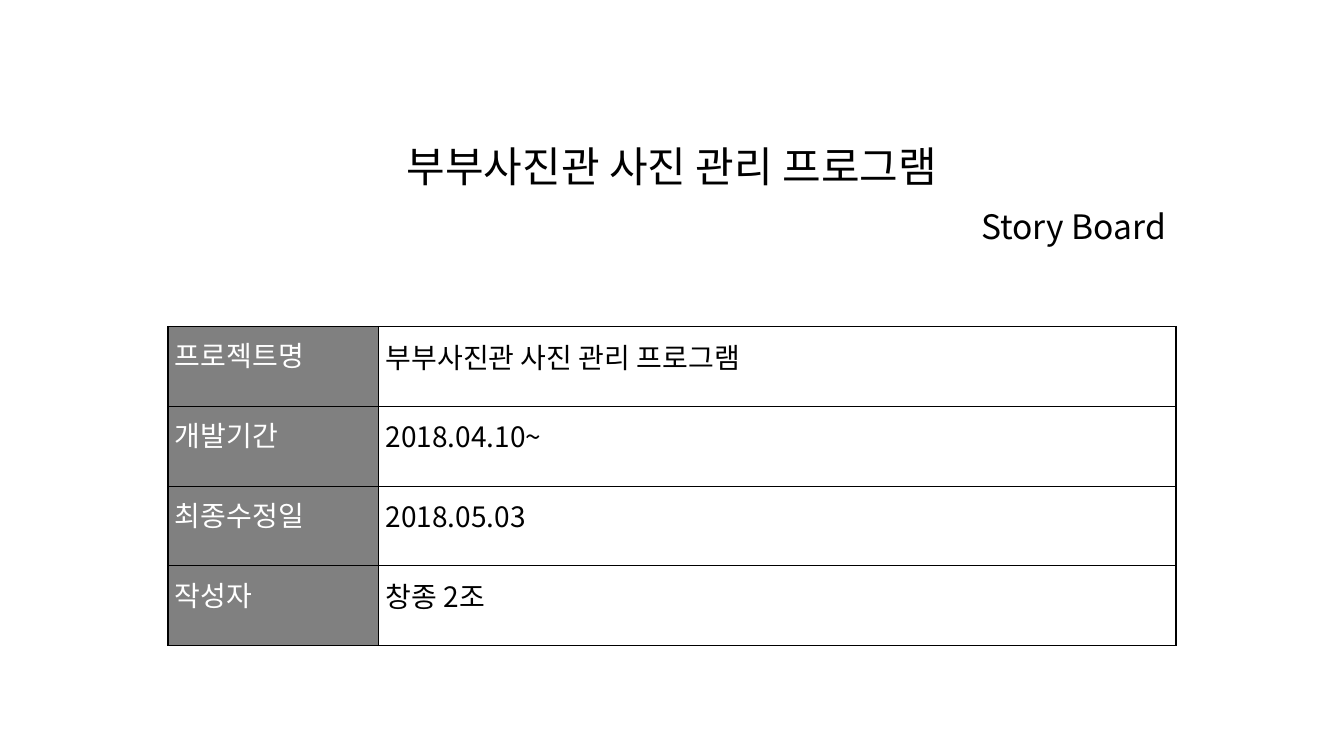
"""Build the story board cover slide with its project information table."""
from dataclasses import dataclass

from lxml.etree import SubElement
from pptx import Presentation
from pptx.dml.color import RGBColor
from pptx.enum.text import MSO_ANCHOR as Anchor, PP_ALIGN as Align
from pptx.oxml.ns import qn
from pptx.table import _Cell as Cell
from pptx.util import Pt

BLACK = RGBColor(0x00, 0x00, 0x00)
WHITE = RGBColor(0xFF, 0xFF, 0xFF)
GRAY = RGBColor(0x80, 0x80, 0x80)
KOREAN_FONT = "Noto Sans CJK KR"
LABEL_FONT = "Arial"
LEFT, WIDTH = 120, 720
LABEL_WIDTH = 150.5
ROW_HEIGHT = 57


@dataclass(frozen=True)
class TextStyle:
    size: float
    font: str = KOREAN_FONT
    color: RGBColor = BLACK
    align: Align = Align.LEFT
    line_spacing: float = 0.9
    before: float = 0
    after: float = 0


@dataclass(frozen=True)
class ProjectFact:
    label: str
    value: str


TITLE = TextStyle(30, align=Align.CENTER)
SUBTITLE = TextStyle(24, align=Align.RIGHT, before=10)
LABEL = TextStyle(20, LABEL_FONT, WHITE, line_spacing=Pt(12), after=6)
VALUE = TextStyle(20, line_spacing=Pt(14), after=6)

FACTS = [
    ProjectFact("프로젝트명", "부부사진관 사진 관리 프로그램"),
    ProjectFact("개발기간", "2018.04.10~"),
    ProjectFact("최종수정일", "2018.05.03"),
    ProjectFact("작성자", "창종 2조"),
]


def write(frame, text: str, style: TextStyle) -> None:
    frame.word_wrap = True
    paragraph = frame.paragraphs[0]
    paragraph.alignment = style.align
    paragraph.line_spacing = style.line_spacing
    paragraph.space_before = Pt(style.before)
    paragraph.space_after = Pt(style.after)
    run = paragraph.add_run()
    run.text = text
    run.font.size = Pt(style.size)
    run.font.name = style.font
    run.font.color.rgb = style.color
    SubElement(run.font._element, qn("a:ea"), typeface=KOREAN_FONT)


def add_borders(cell: Cell) -> None:
    properties = cell._tc.get_or_add_tcPr()
    for side in ("lnL", "lnR", "lnT", "lnB"):
        border = SubElement(properties, qn(f"a:{side}"), w=str(Pt(1)))
        fill = SubElement(border, qn("a:solidFill"))
        SubElement(fill, qn("a:srgbClr"), val=str(BLACK))


def fill_cell(cell: Cell, text: str, style: TextStyle) -> None:
    cell.vertical_anchor = Anchor.MIDDLE
    cell.margin_left = cell.margin_right = Pt(5)
    cell.margin_top = cell.margin_bottom = Pt(0.75)
    add_borders(cell)
    if style is LABEL:
        cell.fill.solid()
        cell.fill.fore_color.rgb = GRAY
    else:
        cell.fill.background()
    write(cell.text_frame, text, style)


def add_fact_table(slide, facts: list[ProjectFact]) -> None:
    table = slide.shapes.add_table(
        len(facts), 2, Pt(LEFT), Pt(233.25), Pt(WIDTH), Pt(ROW_HEIGHT * len(facts))
    ).table
    table.first_row = table.horz_banding = False
    table.columns[0].width = Pt(LABEL_WIDTH)
    table.columns[1].width = Pt(WIDTH - LABEL_WIDTH)
    for row, fact in enumerate(facts):
        table.rows[row].height = Pt(ROW_HEIGHT)
        fill_cell(table.cell(row, 0), fact.label, LABEL)
        fill_cell(table.cell(row, 1), fact.value, VALUE)


def main() -> None:
    deck = Presentation()
    deck.slide_width, deck.slide_height = Pt(960), Pt(540)
    slide = deck.slides.add_slide(deck.slide_layouts[5])

    title = slide.shapes.title
    title.left, title.top = Pt(LEFT), Pt(88.5)
    title.width, title.height = Pt(WIDTH), Pt(52)
    title.text_frame.vertical_anchor = Anchor.BOTTOM
    write(title.text_frame, "부부사진관 사진 관리 프로그램", TITLE)

    subtitle = slide.shapes.add_textbox(Pt(LEFT), Pt(147), Pt(WIDTH), Pt(42))
    write(subtitle.text_frame, "Story Board", SUBTITLE)

    add_fact_table(slide, FACTS)
    deck.save("out.pptx")


if __name__ == "__main__":
    main()
